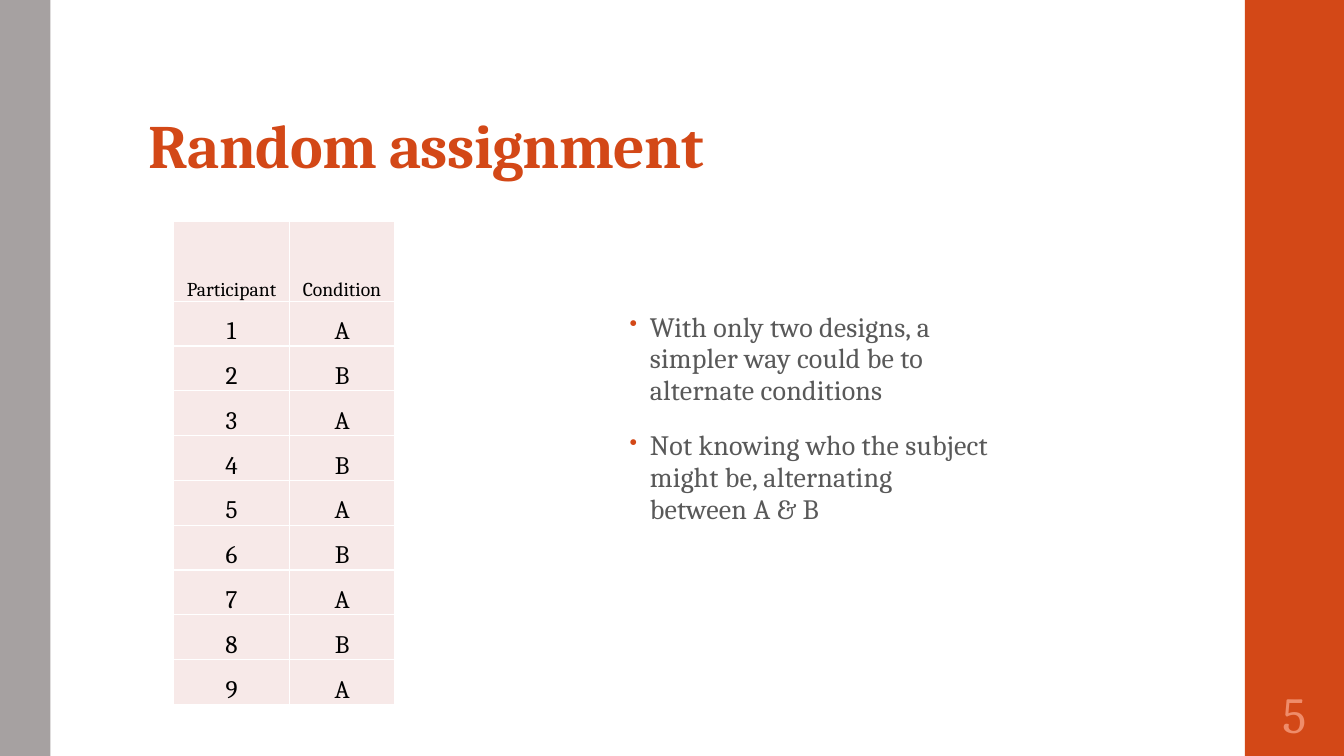
"""Build the slide on random assignment by alternating conditions."""
from lxml import etree
from pptx import Presentation
from pptx.dml.color import RGBColor
from pptx.enum.shapes import MSO_SHAPE
from pptx.enum.text import MSO_ANCHOR, MSO_AUTO_SIZE, PP_ALIGN
from pptx.oxml import parse_xml
from pptx.oxml.ns import nsdecls, qn
from pptx.util import Cm, Pt

ORANGE = RGBColor(0xD3, 0x48, 0x17)
SALMON = RGBColor(0xEF, 0x8C, 0x6A)
GREY = RGBColor(0xA6, 0xA1, 0xA1)
TEXT_GREY = RGBColor(0x59, 0x59, 0x59)
PINK = RGBColor(0xF7, 0xE9, 0xE8)
BLACK = RGBColor(0, 0, 0)
WHITE = RGBColor(0xFF, 0xFF, 0xFF)
RECTANGLE = MSO_SHAPE.RECTANGLE
BOTTOM, MIDDLE, TOP = MSO_ANCHOR.BOTTOM, MSO_ANCHOR.MIDDLE, MSO_ANCHOR.TOP
LEFT, CENTER = PP_ALIGN.LEFT, PP_ALIGN.CENTER
NO_AUTOFIT = MSO_AUTO_SIZE.NONE
FONT = "Cambria"


def set_font(para, size, color, bold=False):
    para.font.name = FONT
    para.font.size = Pt(size)
    para.font.color.rgb = color
    para.font.bold = bold


def prepare_frame(frame, anchor, horizontal, top, bottom):
    frame.word_wrap = True
    frame.auto_size = NO_AUTOFIT
    frame.vertical_anchor = anchor
    frame.margin_left = frame.margin_right = Cm(horizontal)
    frame.margin_top, frame.margin_bottom = Cm(top), Cm(bottom)


deck = Presentation()
deck.slide_width, deck.slide_height = Cm(33.87), Cm(19.05)
page = deck.slides.add_slide(deck.slide_layouts[5])
page.background.fill.solid()
page.background.fill.fore_color.rgb = WHITE

for left, width, color in [(31.37, 2.5, ORANGE), (0, 1.27, GREY)]:
    bar = page.shapes.add_shape(RECTANGLE, Cm(left), 0, Cm(width), deck.slide_height)
    bar.shadow.inherit = False
    bar.fill.solid()
    bar.fill.fore_color.rgb = color
    bar.line.fill.background()

title = page.shapes.title
title.left, title.top, title.width, title.height = Cm(3.5), Cm(0.81), Cm(26.92), Cm(3.89)
prepare_frame(title.text_frame, BOTTOM, 0.25, 0.08, 0.13)
title.text_frame.text = "Random assignment"
para = title.text_frame.paragraphs[0]
para.alignment = LEFT
para.line_spacing = 0.9
set_font(para, 44, ORANGE, bold=True)
para.runs[0].font._element.set("spc", "-50")

rows = [("Participant", "Condition")]
rows += [(str(number), "A" if number % 2 else "B") for number in range(1, 10)]
table_frame = page.shapes.add_table(len(rows), 2, Cm(4.37), Cm(5.59), Cm(5.57), Cm(12.17))
table = table_frame.table
table.first_row = table.horz_banding = False
table.columns[0].width, table.columns[1].width = Cm(2.93), Cm(2.64)
for row_index, row in enumerate(rows):
    is_header = row_index == 0
    table.rows[row_index].height = Cm(2 if is_header else 1.13)
    for column_index, label in enumerate(row):
        cell = table.cell(row_index, column_index)
        cell.margin_left = cell.margin_right = cell.margin_top = cell.margin_bottom = 0
        cell.vertical_anchor = BOTTOM
        for edge in ("lnL", "lnR", "lnT", "lnB"):
            cell._tc.get_or_add_tcPr().append(parse_xml(
                f'<a:{edge} {nsdecls("a")} w="12700"><a:solidFill>'
                f'<a:srgbClr val="{WHITE}"/></a:solidFill></a:{edge}>'))
        cell.fill.solid()
        cell.fill.fore_color.rgb = PINK
        cell.text = label
        para = cell.text_frame.paragraphs[0]
        para.alignment = CENTER
        set_font(para, 14 if is_header else 18, BLACK)

number_box = page.shapes.add_textbox(Cm(31.37), Cm(17.15), Cm(2.5), Cm(1.65))
prepare_frame(number_box.text_frame, MIDDLE, 0.13, 0.13, 0.13)
number_box.text_frame.text = "5"
para = number_box.text_frame.paragraphs[0]
para.alignment = CENTER
set_font(para, 36, SALMON)

bullets = [
    "With only two designs, a simpler way could be to alternate conditions",
    "Not knowing who the subject might be, alternating between A & B",
]
bullet_box = page.shapes.add_textbox(Cm(15.62), Cm(7.72), Cm(9.73), Cm(6.88))
prepare_frame(bullet_box.text_frame, TOP, 0.25, 0.13, 0.13)
bullet_box.text_frame.text = "\n".join(bullets)
for index, para in enumerate(bullet_box.text_frame.paragraphs):
    properties = para._p.get_or_add_pPr()
    properties.set("marL", str(Cm(0.51)))
    properties.set("indent", str(Cm(-0.51)))
    bullet_color = etree.SubElement(properties, qn("a:buClr"))
    etree.SubElement(bullet_color, qn("a:srgbClr"), val=str(ORANGE))
    etree.SubElement(properties, qn("a:buSzPct"), val="80000")
    etree.SubElement(properties, qn("a:buChar"), char="•")
    para.line_spacing = 0.95
    para.space_before = Pt(14 if index else 0)
    para.space_after = Pt(2)
    set_font(para, 20, TEXT_GREY)
    para.runs[0].font._element.set("spc", "10")

deck.save("out.pptx")
